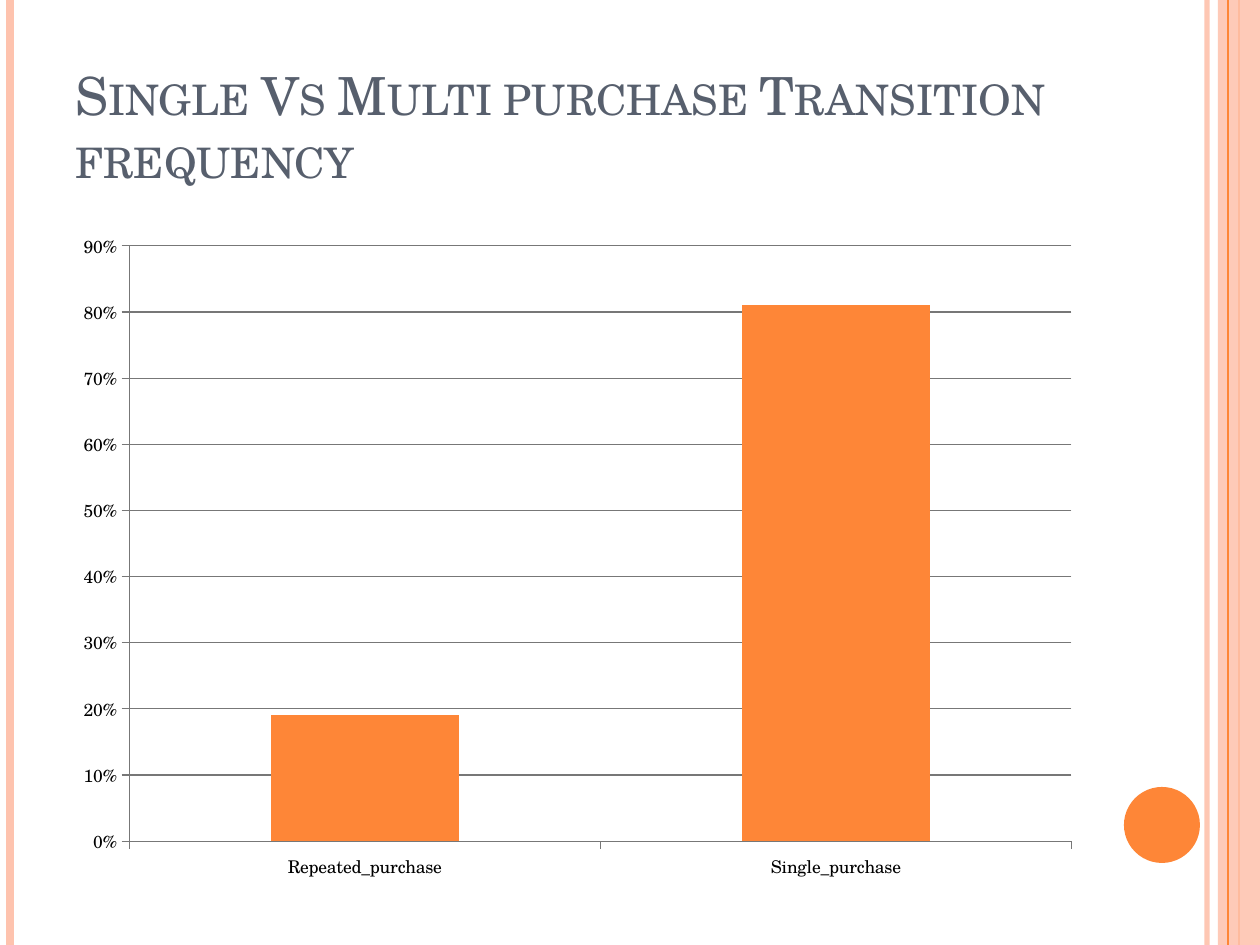
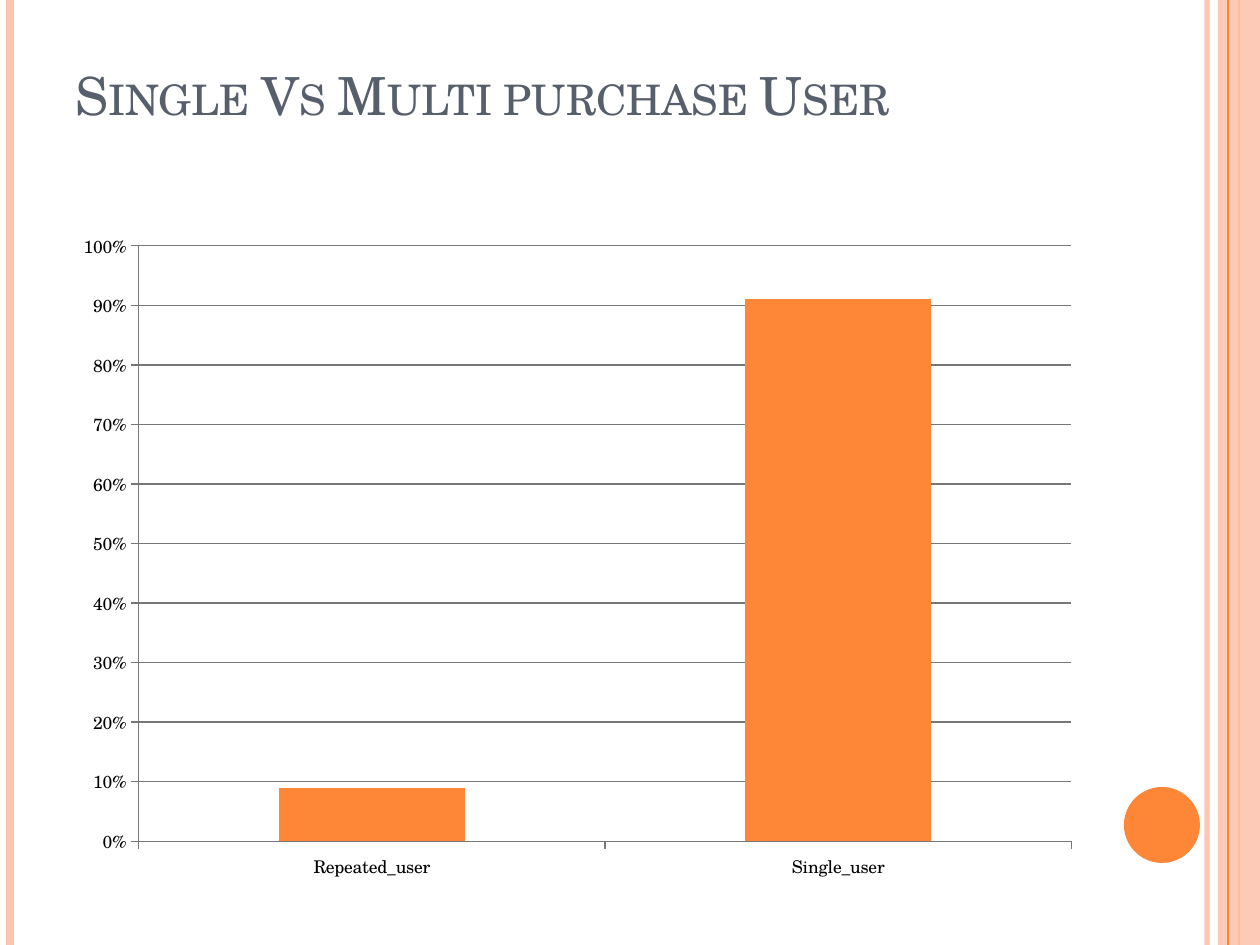
from pptx import Presentation
from pptx.chart.data import CategoryChartData
from pptx.dml.color import RGBColor
from pptx.enum.chart import XL_CHART_TYPE, XL_TICK_MARK
from pptx.enum.shapes import MSO_CONNECTOR, MSO_SHAPE
from pptx.enum.text import MSO_ANCHOR
from pptx.oxml.ns import qn
from pptx.util import Pt
from lxml.etree import SubElement

SLIDES = [
    ("Single Vs Multi purchase Transition frequency",
     {"Repeated_purchase": 0.19, "Single_purchase": 0.81}, 0.9),
    ("Single Vs Multi purchase User",
     {"Repeated_user": 0.09, "Single_user": 0.91}, 1.0),
]

FONT = "TeX Gyre Schola"
ORANGE, PEACH, SLATE = "FE8637", "FEC3AE", "575F6D"
BLACK, GREY = "000000", "777777"

WIDE, HIGH = 1260, 945
TITLE = (63, 38, 1029, 157)
CHART = (63, 220, 1029, 672)
BAND = (1218, 0, 42, HIGH)
DOT = (1124, 787, 76, 76)
# x, colour, width in points, opacity in percent
UNDER = [(1207, PEACH, 3, 93), (10, PEACH, 4.5, 100), (1239, ORANGE, 1.5, 100)]
OVER = [(1228, ORANGE, 0.75, 100)]


def px(n):
    return round(n * 914400 / 126)


def box(rect):
    return [px(n) for n in rect]


def rgb(code):
    return RGBColor.from_string(code)


def fade(part, share):
    """Set the opacity, in percent, of the first colour in an element."""
    tint = next(part.iter(qn("a:srgbClr")))
    SubElement(tint, qn("a:alpha")).set("val", str(share * 1000))


def add_rules(slide, rules):
    for x, code, width, share in rules:
        rule = slide.shapes.add_connector(
            MSO_CONNECTOR.STRAIGHT, px(x), 0, px(x), px(HIGH))
        rule.line.color.rgb = rgb(code)
        rule.line.width = Pt(width)
        if share < 100:
            fade(rule.line._get_or_add_ln(), share)
        SubElement(rule._element.spPr, qn("a:effectLst"))


def add_solid(slide, kind, rect, code):
    shape = slide.shapes.add_shape(kind, *box(rect))
    shape.shadow.inherit = False
    shape.fill.solid()
    shape.fill.fore_color.rgb = rgb(code)
    shape.line.fill.background()
    return shape


def add_frame(slide):
    """Draw the side rules, the band and the dot that every slide has."""
    add_rules(slide, UNDER)
    band = add_solid(slide, MSO_SHAPE.RECTANGLE, BAND, PEACH)
    fade(band._element.spPr, 87)
    add_rules(slide, OVER)
    add_solid(slide, MSO_SHAPE.OVAL, DOT, ORANGE)


def add_title(slide, text):
    frame = slide.shapes.add_textbox(*box(TITLE)).text_frame
    frame.word_wrap = True
    frame.vertical_anchor = MSO_ANCHOR.TOP
    frame.margin_top = px(25)
    run = frame.paragraphs[0].add_run()
    run.text = text
    run.font.name = FONT
    run.font.size = Pt(30)
    run.font.color.rgb = rgb(SLATE)
    run.font._element.set("cap", "small")


def draw(line):
    line.color.rgb = rgb(GREY)
    line.width = Pt(0.75)


def add_bars(slide, shares, top):
    data = CategoryChartData(number_format="0%")
    data.categories = list(shares)
    data.add_series("Series 1", list(shares.values()))
    chart = slide.shapes.add_chart(
        XL_CHART_TYPE.COLUMN_CLUSTERED, *box(CHART), data).chart
    chart.has_legend = False
    chart.has_title = False
    chart.font.name = FONT
    chart.font.size = Pt(10)
    chart.font.color.rgb = rgb(BLACK)

    plot = chart.plots[0]
    plot.vary_by_categories = False
    plot.gap_width = 150
    fill = plot.series[0].format.fill
    fill.solid()
    fill.fore_color.rgb = rgb(ORANGE)

    scale = chart.value_axis
    scale.minimum_scale, scale.maximum_scale = 0, top
    scale.major_unit = 0.1
    scale.tick_labels.number_format = "0%"
    scale.tick_labels.number_format_is_linked = False
    scale.has_major_gridlines = True
    draw(scale.major_gridlines.format.line)
    for axis in (chart.category_axis, scale):
        axis.major_tick_mark = XL_TICK_MARK.OUTSIDE
        axis.minor_tick_mark = XL_TICK_MARK.NONE
        draw(axis.format.line)


def main():
    deck = Presentation()
    deck.slide_width, deck.slide_height = px(WIDE), px(HIGH)
    for title, shares, top in SLIDES:
        slide = deck.slides.add_slide(deck.slide_layouts[6])
        add_frame(slide)
        add_title(slide, title)
        add_bars(slide, shares, top)
    deck.save("out.pptx")


if __name__ == "__main__":
    main()
